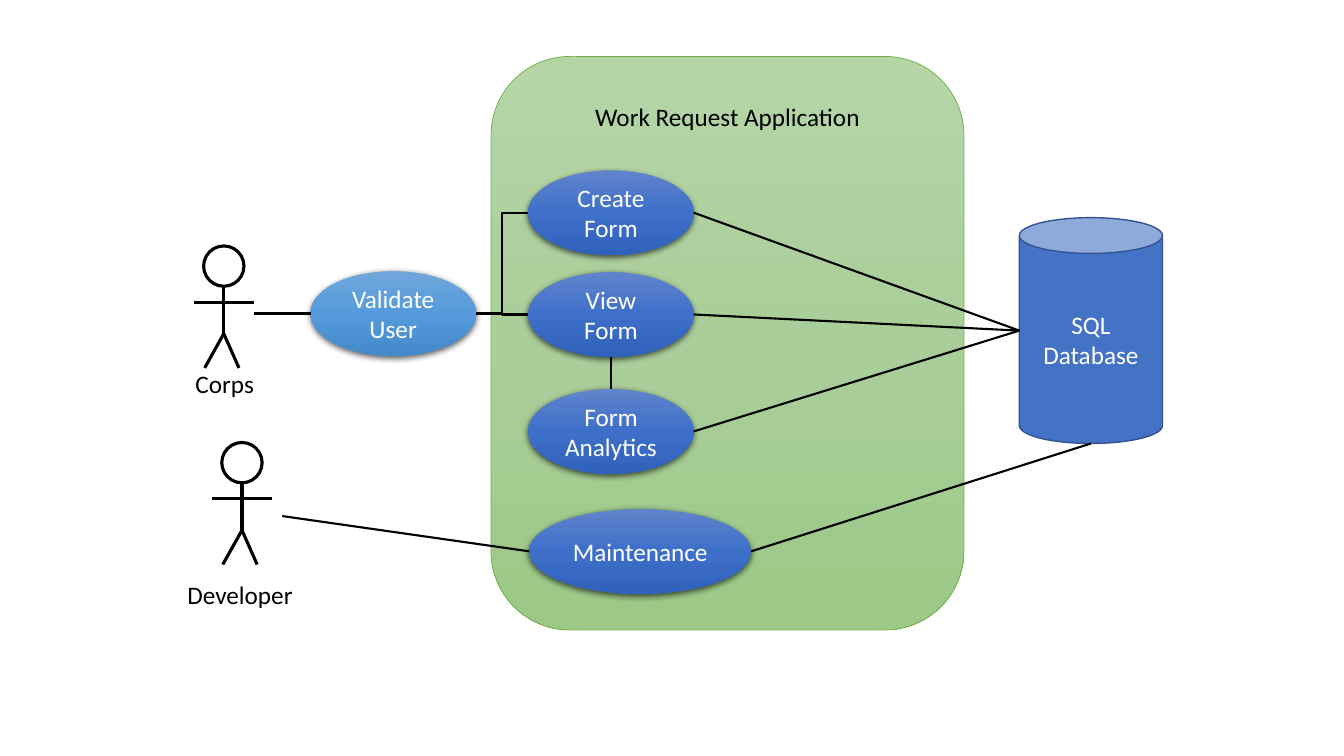
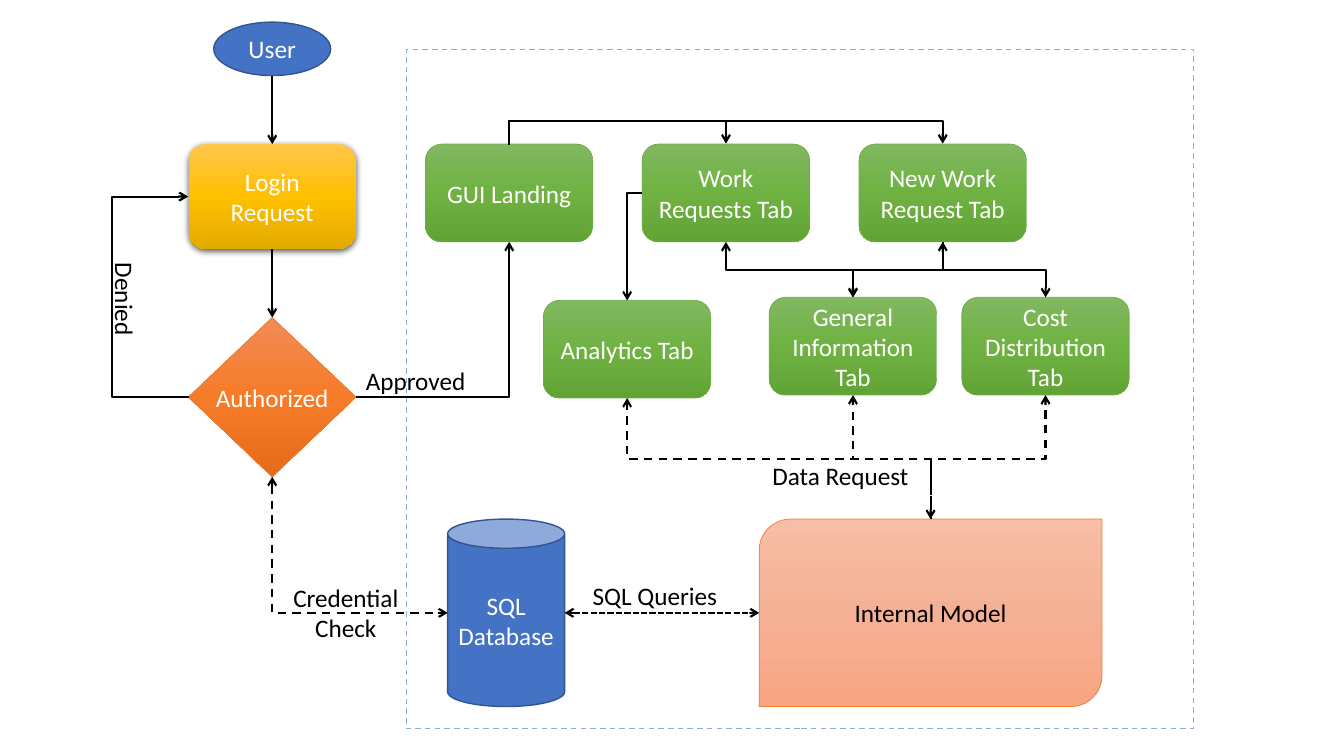
from pptx import Presentation
from pptx import util as u
from pptx.dml import color as col
from pptx.enum import dml, shapes, text
from pptx.oxml import ns, xmlchemy
from copy import deepcopy

Inches, Pt = u.Inches, u.Pt
Kind = shapes.MSO_SHAPE
Wire = shapes.MSO_CONNECTOR
Dash = dml.MSO_LINE


class Theme:
    font, size = "Calibri", 18
    ink, paper = "000000", "FFFFFF"
    blue, edge, frame = "4472C4", "325491", "8FAADC"
    leaf, rust = "70AD47", "ED7D31"
    # Gradients run from top to bottom
    pale = ("B5D5A7", "AACE9A", "9CC987")
    deep = ("6183CB", "3E70CA", "3062BB")
    sky = ("71A6DB", "559BDB", "448ACA")
    gold = ("FFC64B", "FFC000", "E3AB00")
    flame = ("F18C57", "F67B28", "E56C19")
    green = ("81B861", "6FB242", "62A336")
    peach = ("F7BDA5", "F5B196", "F8A582")
    thin, rule, wire, limb = 0.5, 1, 1.5, 2.25


# Connection sites by preset, for top, left, bottom and right
SITES = {
    Kind.OVAL: (0, 2, 4, 6),
    Kind.CAN: (1, 2, 3, 4),
    Kind.ROUND_2_DIAG_RECTANGLE: (3, 2, 1, 0),
}
SIDES = "tlbr"
# Rotation, flipH, flipV by leaving side and whether the route goes right/down
TURNS = {
    ("r", True): (0, 0, 0), ("r", False): (0, 0, 1),
    ("l", True): (180, 0, 1), ("l", False): (180, 0, 0),
    ("b", True): (270, 1, 0), ("b", False): (90, 0, 0),
    ("t", True): (90, 1, 1), ("t", False): (270, 0, 1),
}


def rgb(hue):
    return col.RGBColor.from_string(hue)


def node(tag, **attrs):
    item = xmlchemy.OxmlElement(tag)
    for key, val in attrs.items():
        item.set(key, str(val))
    return item


def spot(end):
    """Point of an end: a (shape, side) pair, or plain x and y in inches."""
    if not hasattr(end[0], "left"):
        return Inches(end[0]), Inches(end[1])
    s, side = end
    dx, dy = {"t": (1, 0), "l": (0, 1), "b": (1, 2), "r": (2, 1)}[side]
    return s.left + s.width * dx // 2, s.top + s.height * dy // 2


class Deck:
    def __init__(self, theme):
        self.th = theme
        self.prs = Presentation()
        self.prs.slide_width, self.prs.slide_height = Inches(13.33), Inches(7.5)
        self.page = None

    def slide(self):
        self.page = self.prs.slides.add_slide(self.prs.slide_layouts[6]).shapes

    # Text and shapes
    def say(self, frame, words, hue, align, wrap=True):
        frame.word_wrap = wrap
        par = frame.paragraphs[0]
        par.alignment = align
        run = par.add_run()
        run.text = words
        run.font.name, run.font.size = self.th.font, Pt(self.th.size)
        run.font.color.rgb = rgb(hue)

    def label(self, words, x, y, w, h=0.4, mid=False, turn=0):
        box = self.page.add_textbox(Inches(x), Inches(y), Inches(w), Inches(h))
        box.rotation = turn
        side = text.PP_ALIGN.CENTER if mid else text.PP_ALIGN.LEFT
        self.say(box.text_frame, words, self.th.ink, side)

    def paint(self, s, fill):
        if fill is None:
            s.fill.background()
        elif isinstance(fill, str):
            s.fill.solid()
            s.fill.fore_color.rgb = rgb(fill)
        else:
            s.fill.gradient()
            s.fill.gradient_angle = 270
            stops = s._element.spPr.find(".//" + ns.qn("a:gsLst"))
            stops.append(deepcopy(stops[0]))
            for i, stop in enumerate(s.fill.gradient_stops):
                stop.color.rgb = rgb(fill[i])
                stop.position = i / 2

    def stroke(self, line, hue, wide, dash=None):
        line.color.rgb = rgb(hue)
        line.width = Pt(wide)
        if dash:
            line.dash_style = dash

    def shape(self, kind, x, y, w, h, words="", fill=None, line=None,
              wide=Theme.thin, dash=None, glow=False, hue=Theme.paper,
              wrap=True, home=None):
        s = (home or self.page).add_shape(
            kind, Inches(x), Inches(y), Inches(w), Inches(h))
        s.shadow.inherit = False
        self.paint(s, fill)
        if line:
            self.stroke(s.line, line, wide, dash)
        else:
            s.line.fill.background()
        if glow:
            cast = node("a:outerShdw", blurRad=Pt(4.5), dist=Pt(1.5),
                        dir=5400000, algn="ctr", rotWithShape=0)
            tint = node("a:srgbClr", val=self.th.ink)
            tint.append(node("a:alpha", val=63000))
            cast.append(tint)
            s._element.spPr.find(ns.qn("a:effectLst")).append(cast)
        if words:
            s.text_frame.vertical_anchor = text.MSO_ANCHOR.MIDDLE
            self.say(s.text_frame, words, hue, text.PP_ALIGN.CENTER, wrap)
        return s

    def oval(self, words, x, y, w=1.64, fill=Theme.deep):
        return self.shape(Kind.OVAL, x, y, w, 0.84, words, fill, glow=True)

    def store(self, x, y, w, h):
        return self.shape(Kind.CAN, x, y, w, h, "SQL Database", self.th.blue,
                          self.th.edge, self.th.rule)

    def tab(self, words, x, y):
        return self.shape(Kind.ROUNDED_RECTANGLE, x, y, 1.66, 0.97, words,
                          self.th.green, self.th.leaf)

    # Connectors
    def wire(self, kind, a, b, wide, dash, heads, home=None):
        c = (home or self.page).add_connector(kind, *spot(a), *spot(b))
        for end, join, tag in ((a, c.begin_connect, "a:stCxn"),
                               (b, c.end_connect, "a:endCxn")):
            if hasattr(end[0], "left"):
                rank = SIDES.index(end[1])
                join(end[0], rank)
                site = SITES.get(end[0].auto_shape_type, range(4))[rank]
                c._element.find(".//" + ns.qn(tag)).set("idx", str(site))
        self.stroke(c.line, self.th.ink, wide, dash)
        ln = c._element.spPr.find(ns.qn("a:ln"))
        for mark, tag in (("<", "a:headEnd"), (">", "a:tailEnd")):
            if mark in heads:
                ln.append(node(tag, type="arrow"))
        c._element.spPr.append(node("a:effectLst"))
        return c

    def place(self, c, mid, w, h, turn, fliph, flipv):
        c.left, c.top = int(mid[0] - w / 2), int(mid[1] - h / 2)
        c.width, c.height = int(w), int(h)
        form = c._element.spPr.find(ns.qn("a:xfrm"))
        for key, val in (("rot", turn * 60000), ("flipH", fliph), ("flipV", flipv)):
            form.set(key, str(int(val)))

    def link(self, a, b, heads="", dash=None, wide=Theme.wire, home=None):
        c = self.wire(Wire.STRAIGHT, a, b, wide, dash, heads, home)
        (x, y), (p, q) = spot(a), spot(b)
        self.place(c, ((x + p) / 2, (y + q) / 2), abs(p - x), abs(q - y),
                   0, p < x, q < y)

    def bend(self, a, b, heads="", dash=None, lead=None):
        """Elbow that leaves side a; lead is the length of its first leg."""
        c = self.wire(Wire.ELBOW, a, b, self.th.wire, dash, heads)
        (x, y), (p, q) = spot(a), spot(b)
        flat = a[1] in "lr"
        run, rise = (p - x, q - y) if flat else (q - y, p - x)
        w = max(abs(run), Inches(0.01))
        # A route that leaves downward or upward is turned by a quarter
        self.place(c, ((x + p) / 2, (y + q) / 2), w, abs(rise),
                   *TURNS[a[1], rise > 0])
        geom = c._element.spPr.find(ns.qn("a:prstGeom"))
        if flat != (b[1] in "lr"):
            geom.set("prst", "bentConnector2")
        elif lead:
            guides = geom.find(ns.qn("a:avLst"))
            if guides is None:
                guides = node("a:avLst")
                geom.append(guides)
            ratio = round(Inches(lead) / w * 100000)
            guides.append(node("a:gd", name="adj1", fmla=f"val {ratio}"))

    def actor(self, x, y):
        home = self.page.add_group_shape().shapes
        self.shape(Kind.OVAL, x + 0.1, y, 0.4, 0.4, line=self.th.ink,
                   wide=self.th.limb, home=home)
        hip = (0.3, 0.87)
        for a, b in (((0.3, 0.4), hip), ((0, 0.56), (0.6, 0.56)),
                     ((0.11, 1.21), hip), ((0.45, 1.21), hip)):
            self.link((x + a[0], y + a[1]), (x + b[0], y + b[1]),
                      wide=self.th.limb, home=home)


def cases(d):
    th = d.th
    d.slide()
    # Application and database
    zone = d.shape(Kind.ROUNDED_RECTANGLE, 4.87, 0.56, 4.69, 5.69,
                   "Work Request Application", th.pale, th.leaf, hue=th.ink)
    zone.text_frame.vertical_anchor = text.MSO_ANCHOR.TOP
    zone.text_frame.margin_top = Inches(0.22)
    base = d.store(10.11, 2.16, 1.42, 2.24)

    # Use cases
    make = d.oval("Create Form", 5.24, 1.69)
    view = d.oval("View Form", 5.24, 2.7)
    stats = d.oval("Form Analytics", 5.24, 3.86)
    care = d.oval("Maintenance", 5.25, 5.05, 2.2)
    check = d.oval("Validate User", 3.08, 2.69, fill=th.sky)

    # Actors
    d.actor(1.92, 2.44)
    d.label("Corps", 1.84, 3.6, 0.84)
    d.actor(2.1, 4.39)
    d.label("Developer", 1.76, 5.7, 1.29)

    # Links
    for case in (make, view, stats):
        d.link((case, "r"), (base, "l"))
    d.link((view, "b"), (stats, "t"))
    d.link((2.52, 3.11), (check, "l"))
    d.link((2.8, 5.12), (care, "l"))
    d.link((care, "r"), (base, "b"))
    for case in (make, view):
        d.bend((check, "r"), (case, "l"))


def flow(d):
    th = d.th
    d.slide()
    d.shape(Kind.RECTANGLE, 4.03, 0.49, 7.81, 6.74, line=th.frame,
            wide=th.rule, dash=Dash.DASH)

    # Login
    user = d.shape(Kind.OVAL, 2.12, 0.22, 1.16, 0.53, "User", th.blue,
                   th.edge, th.rule)
    login = d.shape(Kind.ROUNDED_RECTANGLE, 1.87, 1.43, 1.66, 1.04,
                    "Login Request", th.gold, glow=True)
    gate = d.shape(Kind.FLOWCHART_DECISION, 1.87, 3.15, 1.66, 1.58,
                   "Authorized", th.flame, th.rust, wrap=False)

    # Tabs
    land, work, new = (
        d.tab(words, 4.22 + 2.15 * i, 1.43) for i, words in
        enumerate(("GUI Landing", "Work Requests Tab", "New Work Request Tab")))
    stats = d.tab("Analytics Tab", 5.39, 2.98)
    info = d.tab("General Information Tab", 7.63, 2.95)
    cost = d.tab("Cost Distribution Tab", 9.54, 2.95)

    # Data
    base = d.store(4.44, 5.15, 1.16, 1.86)
    model = d.shape(Kind.ROUND_2_DIAG_RECTANGLE, 7.53, 5.15, 3.4, 1.86,
                    "Internal Model", th.peach, th.rust, hue=th.ink)

    # Access routes
    d.link((user, "b"), (login, "t"), ">")
    d.link((login, "b"), (gate, "t"), ">")
    d.bend((gate, "l"), (login, "l"), ">", lead=0.78)
    d.bend((gate, "r"), (land, "b"), ">")
    d.bend((gate, "b"), (base, "l"), "<>", Dash.DASH)

    # Routes between tabs
    for goal in (work, new):
        d.bend((land, "t"), (goal, "t"), ">", lead=0.24)
    d.bend((work, "l"), (stats, "t"), ">")
    for tab, goal, heads in ((work, info, "<>"), (new, info, ">"),
                             (new, cost, "<>")):
        d.bend((tab, "b"), (goal, "t"), heads)

    # Data routes
    d.link((base, "r"), (model, "l"), "<>", Dash.SQUARE_DOT)
    for goal, heads in ((stats, ">"), (info, ">"), (cost, "<>")):
        d.bend((model, "t"), (goal, "b"), heads, Dash.DASH, lead=0.6)

    # Route labels
    d.label("Denied", 0.77, 2.78, 0.94, turn=90)
    d.label("Approved", 3.53, 3.58, 1.23)
    d.label("Credential Check", 2.72, 5.73, 1.42, 0.71, mid=True)
    d.label("SQL Queries", 5.75, 5.71, 1.49, mid=True)
    d.label("Data Request", 7.54, 4.52, 1.59, mid=True)


def main():
    deck = Deck(Theme)
    cases(deck)
    flow(deck)
    deck.prs.save("out.pptx")


if __name__ == "__main__":
    main()
